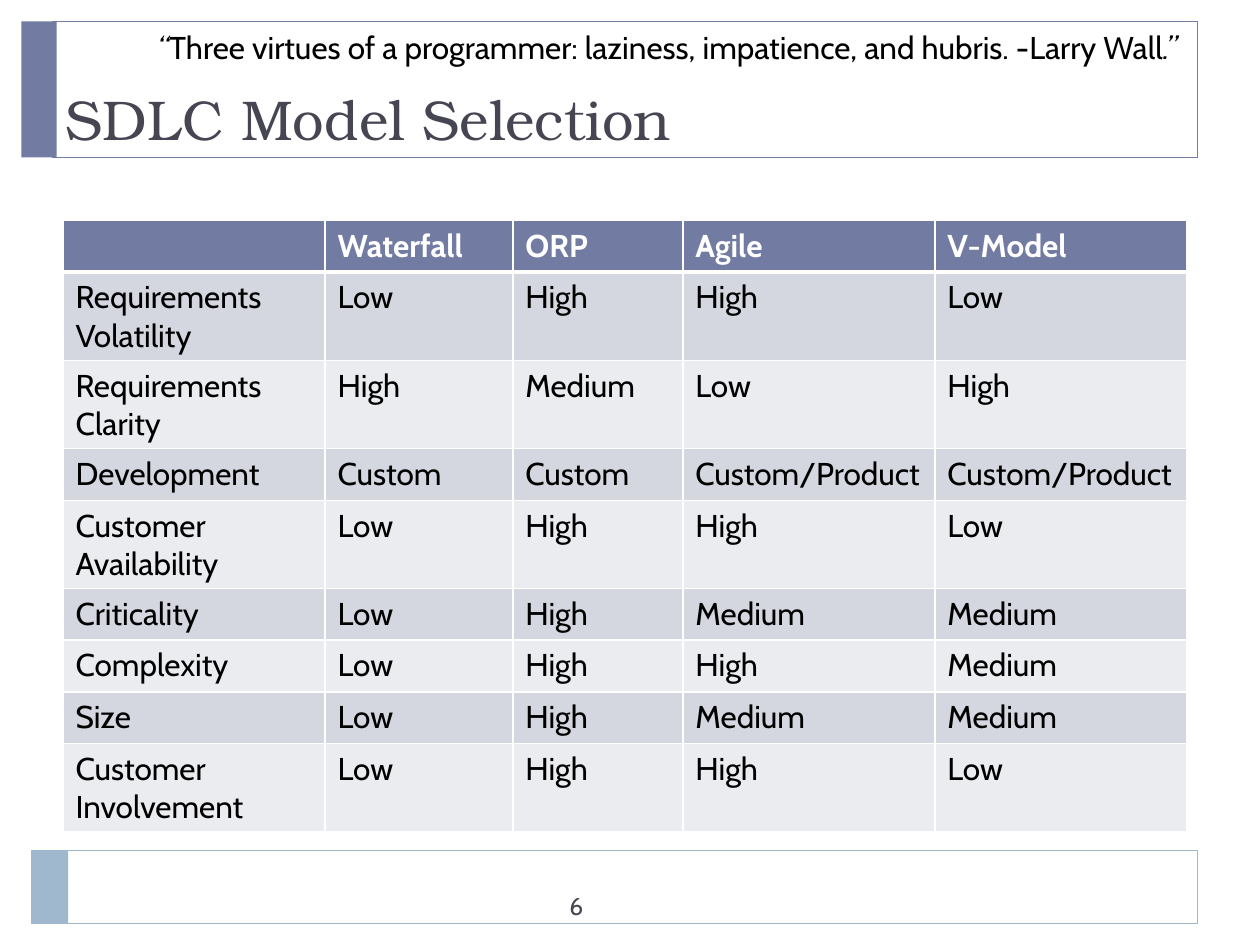
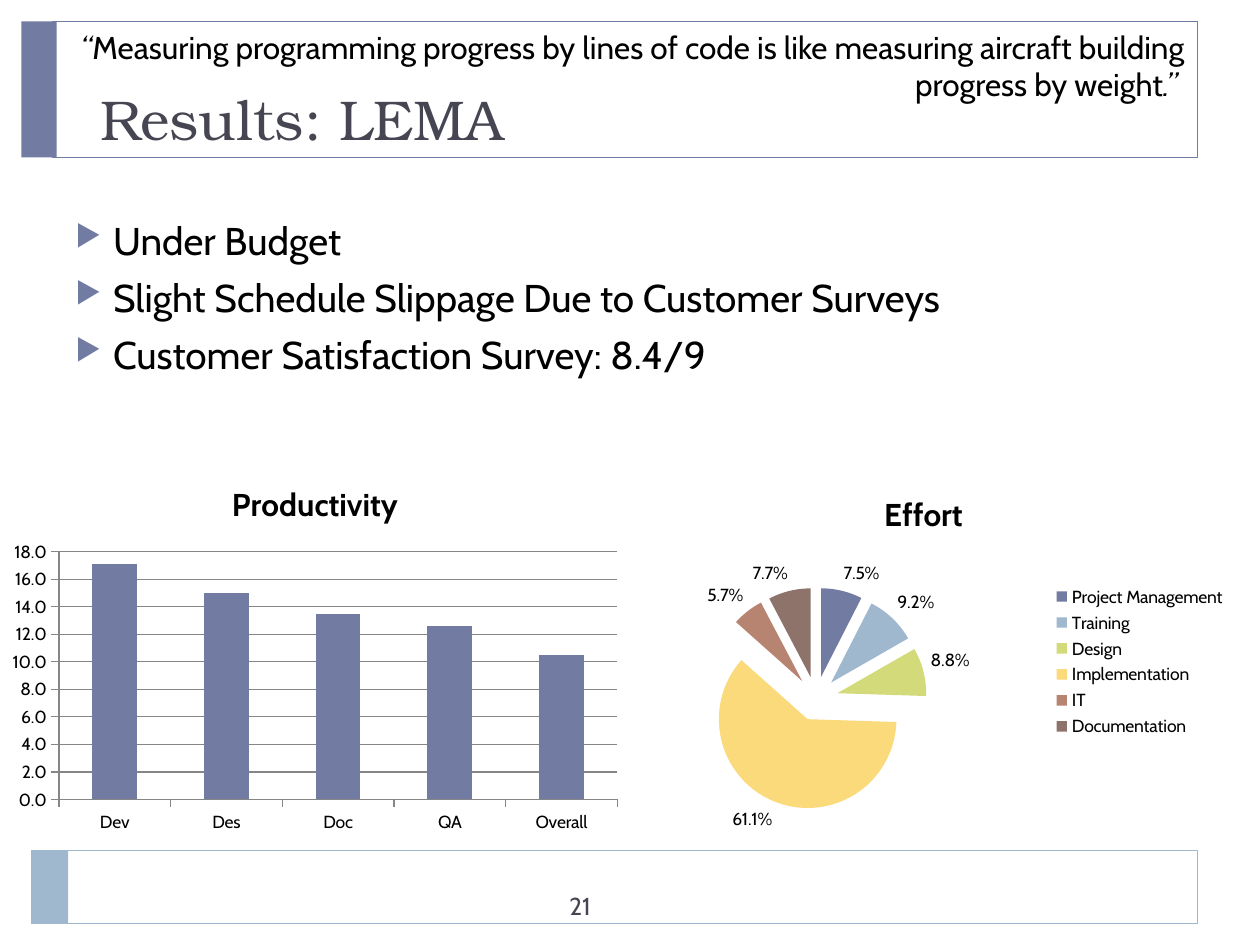
from lxml import etree
from pptx import Presentation
from pptx.chart.data import CategoryChartData
from pptx.dml.color import RGBColor
from pptx.enum.chart import (XL_CHART_TYPE, XL_LABEL_POSITION,
                             XL_LEGEND_POSITION, XL_TICK_MARK)
from pptx.enum.shapes import MSO_SHAPE
from pptx.enum.text import MSO_ANCHOR, PP_ALIGN
from pptx.oxml.ns import qn
from pptx.util import Inches, Pt

RECT = MSO_SHAPE.RECTANGLE
TOP, BOTTOM = MSO_ANCHOR.TOP, MSO_ANCHOR.BOTTOM
LEFT, RIGHT = PP_ALIGN.LEFT, PP_ALIGN.RIGHT
COLUMN, PIE = XL_CHART_TYPE.COLUMN_CLUSTERED, XL_CHART_TYPE.PIE
LEGEND_RIGHT = XL_LEGEND_POSITION.RIGHT
OUT_END = XL_LABEL_POSITION.OUTSIDE_END
OUTSIDE = XL_TICK_MARK.OUTSIDE

BODY, SERIF = "Cabin", "TeX Gyre Bonum"
BLUE, SKY, SLATE, GRID = "727CA3", "9FB8CD", "464653", "868686"
BLACK, WHITE = "000000", "FFFFFF"
BANDS = ("D5D7E0", "EBECF0")
HEAD = (0.42, 0.17, 9.08, 1.08)

MODELS = [
    ("", "Waterfall", "ORP", "Agile", "V-Model"),
    ("Requirements Volatility", "Low", "High", "High", "Low"),
    ("Requirements Clarity", "High", "Medium", "Low", "High"),
    ("Development", "Custom", "Custom", "Custom/Product", "Custom/Product"),
    ("Customer Availability", "Low", "High", "High", "Low"),
    ("Criticality", "Low", "High", "Medium", "Medium"),
    ("Complexity", "Low", "High", "High", "Medium"),
    ("Size", "Low", "High", "Medium", "Medium"),
    ("Customer Involvement", "Low", "High", "High", "Low"),
]
WIDTHS = (2.08, 1.49, 1.35, 2, 2)
ROW = 0.41

RESULTS = [
    "Under Budget",
    "Slight Schedule Slippage Due to Customer Surveys",
    "Customer Satisfaction Survey: 8.4/9",
]
OUTPUT = {"Dev": 17.1, "Des": 15, "Doc": 13.5, "QA": 12.6, "Overall": 10.5}
EFFORT = [
    ("Project Management", 0.075, BLUE),
    ("Training", 0.092, SKY),
    ("Design", 0.088, "D2DA7A"),
    ("Implementation", 0.611, "FADA7A"),
    ("IT", 0.057, "B88472"),
    ("Documentation", 0.077, "8E736A"),
]


def rgb(code):
    """Turn a hex string into a colour."""
    return RGBColor.from_string(code)


def inches(box):
    """Turn a box of numbers into lengths."""
    return [Inches(n) for n in box]


def style(font, size=18, color=BLACK, bold=False, italic=False, face=BODY):
    """Set every trait of a font."""
    font.name, font.size = face, Pt(size)
    font.bold, font.italic = bold, italic
    font.color.rgb = rgb(color)


def write(frame, paras, align=LEFT, anchor=TOP, inset=0.1, **font):
    """Fill a frame; a paragraph is a string or a list of (text, italic)."""
    frame.word_wrap = True
    frame.vertical_anchor = anchor
    frame.margin_left = Inches(inset)
    for i, runs in enumerate(paras):
        para = frame.add_paragraph() if i else frame.paragraphs[0]
        para.alignment = align
        for text, italic in ([(runs, False)] if isinstance(runs, str) else runs):
            run = para.add_run()
            run.text = text
            style(run.font, italic=italic, **font)
    return frame


def label(slide, box, paras, **look):
    """Add a text box."""
    return write(slide.shapes.add_textbox(*inches(box)).text_frame, paras, **look)


def block(slide, box, fill=None, line=None):
    """Add a filled or outlined rectangle."""
    shape = slide.shapes.add_shape(RECT, *inches(box))
    shape.shadow.inherit = False
    if fill:
        shape.fill.solid()
        shape.fill.fore_color.rgb = rgb(fill)
    else:
        shape.fill.background()
    if line:
        shape.line.color.rgb = rgb(line)
        shape.line.width = Pt(0.5)
    else:
        shape.line.fill.background()


def page(deck, title, quote, number, inset=0.1):
    """Add a slide with its bands, title and page number."""
    slide = deck.slides.add_slide(deck.slide_layouts[6])
    block(slide, HEAD, line=BLUE)
    block(slide, (0.17, 0.17, 0.28, 1.08), fill=BLUE)
    block(slide, (0.25, 6.75, 9.25, 0.58), line=SKY)
    block(slide, (0.25, 6.75, 0.29, 0.58), fill=SKY)
    label(slide, HEAD, [title], anchor=BOTTOM, inset=inset,
          size=32, color=SLATE, face=SERIF)
    label(slide, (4.42, 7.02, 1.42, 0.4), [number], size=14, color=SLATE)
    label(slide, (0.42, 0.17, 9.08, 0.4),
          [[("“", True), (quote, False), (".” ", True)]], align=RIGHT)
    return slide


def edge(cell, side, width):
    """Draw one white border of a cell."""
    line = etree.SubElement(cell._tc.get_or_add_tcPr(), qn("a:ln" + side),
                            w=str(Pt(width)))
    fill = etree.SubElement(line, qn("a:solidFill"))
    etree.SubElement(fill, qn("a:srgbClr"), val=WHITE)


def grid(slide, rows):
    """Add the banded table with a heading row."""
    box = (0.5, 1.75, sum(WIDTHS), ROW * len(rows))
    table = slide.shapes.add_table(len(rows), len(WIDTHS), *inches(box)).table
    for col, width in zip(table.columns, WIDTHS):
        col.width = Inches(width)
    for r, row in enumerate(rows):
        table.rows[r].height = Inches(ROW)
        for c, text in enumerate(row):
            cell = table.cell(r, c)
            thick = {0: "B", 1: "T"}.get(r)
            for side in "LRTB":
                edge(cell, side, 3 if side == thick else 1)
            cell.fill.solid()
            cell.fill.fore_color.rgb = rgb(BANDS[(r - 1) % 2] if r else BLUE)
            if text:
                write(cell.text_frame, [text], bold=r == 0,
                      color=BLACK if r else WHITE)
            else:
                style(cell.text_frame.paragraphs[0].font)


def bullets(frame):
    """Give each paragraph a triangle bullet and a hanging indent."""
    for para in frame.paragraphs:
        para.space_before = Pt(6)
        props = para._p.get_or_add_pPr()
        props.set("marL", str(Inches(0.3)))
        props.set("indent", str(-Inches(0.3)))
        tint = etree.SubElement(props, qn("a:buClr"))
        etree.SubElement(tint, qn("a:srgbClr"), val=BLUE)
        etree.SubElement(props, qn("a:buSzPct"), val="76000")
        etree.SubElement(props, qn("a:buChar"), char="▶")


def plot(slide, kind, box, title, names, values, form):
    """Add a titled chart with one series."""
    data = CategoryChartData(number_format=form)
    data.categories = names
    data.add_series(title, values)
    chart = slide.shapes.add_chart(kind, *inches(box), data).chart
    style(chart.font, size=10)
    chart.has_title = True
    write(chart.chart_title.text_frame, [title], align=None, bold=True)
    chart.has_legend = False
    return chart, chart.plots[0]


def bars(slide):
    """Add the column chart."""
    chart, area = plot(slide, COLUMN, (0, 3.67, 5, 3), "Productivity",
                       list(OUTPUT), list(OUTPUT.values()), "0.0")
    area.gap_width = 150
    area.vary_by_categories = False
    fill = area.series[0].format.fill
    fill.solid()
    fill.fore_color.rgb = rgb(BLUE)
    axis = chart.value_axis
    axis.minimum_scale, axis.maximum_scale, axis.major_unit = 0, 18, 2
    axis.has_major_gridlines = True
    axis.major_gridlines.format.line.color.rgb = rgb(GRID)
    axis.tick_labels.number_format = "0.0"
    axis.tick_labels.number_format_is_linked = False
    for side in (axis, chart.category_axis):
        side.major_tick_mark = OUTSIDE
        side.format.line.color.rgb = rgb(GRID)


def pie(slide):
    """Add the exploded pie chart."""
    names, values, tints = zip(*EFFORT)
    chart, area = plot(slide, PIE, (4.83, 3.75, 5, 3), "Effort",
                       names, values, "0.0%")
    area.vary_by_categories = True
    series = area.series[0]
    burst = etree.Element(qn("c:explosion"), val="25")
    series._element.find(qn("c:tx")).addnext(burst)
    for i, tint in enumerate(tints):
        fill = series.points[i].format.fill
        fill.solid()
        fill.fore_color.rgb = rgb(tint)
    area.has_data_labels = True
    tags = area.data_labels
    tags.show_value, tags.show_percentage = True, False
    tags.number_format, tags.number_format_is_linked = "0.0%", False
    tags.position = OUT_END
    style(tags.font, size=10)
    chart.has_legend = True
    chart.legend.position = LEGEND_RIGHT
    chart.legend.include_in_layout = False
    style(chart.legend.font, size=10)


deck = Presentation()
deck.slide_width, deck.slide_height = Inches(10), Inches(7.5)

models = page(deck, "SDLC Model Selection",
              "Three virtues of a programmer: laziness, impatience, "
              "and hubris. -Larry Wall", "6")
grid(models, MODELS)

results = page(deck, "Results: LEMA",
               "Measuring programming progress by lines of code is like "
               "measuring aircraft building progress by weight",
               "21", inset=0.38)
bullets(label(results, (0.5, 1.67, 9, 1.17), RESULTS, size=22.1))
bars(results)
pie(results)

deck.save("out.pptx")
